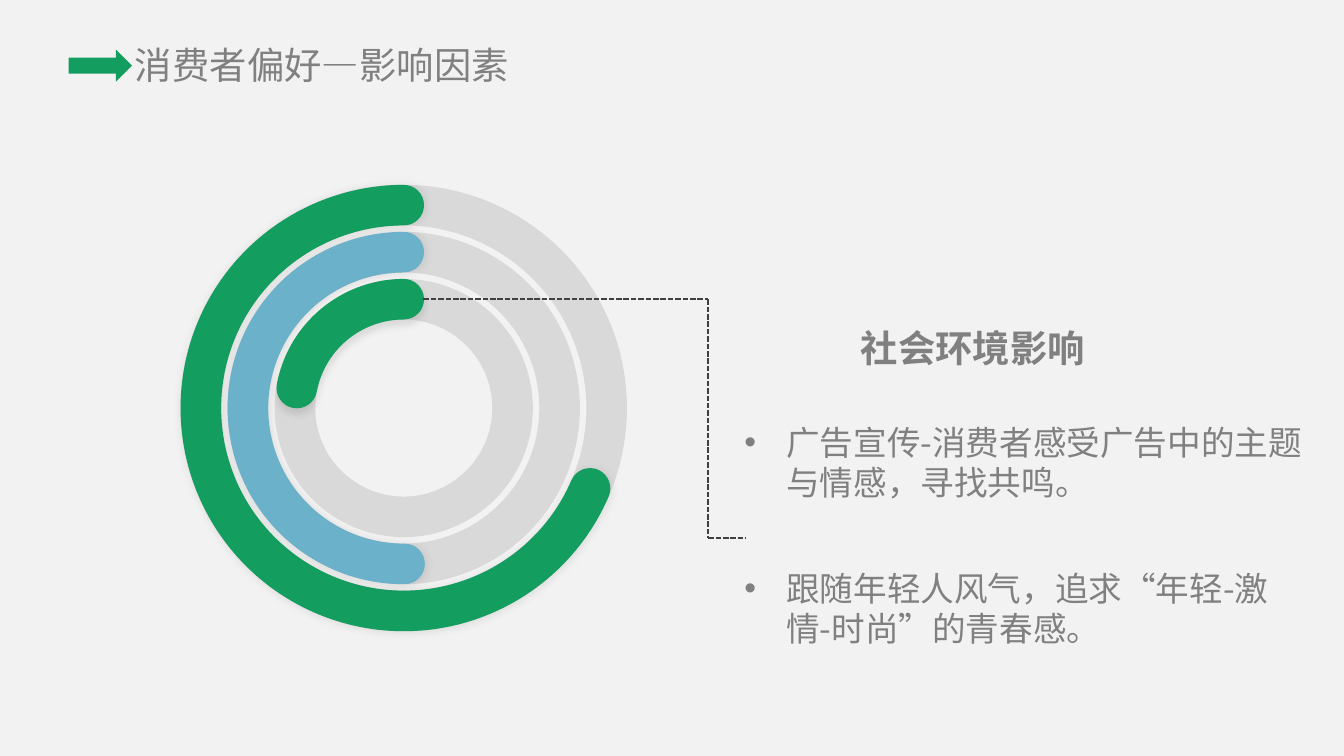
from dataclasses import dataclass

from lxml.etree import SubElement
from pptx import Presentation
from pptx.dml.color import RGBColor
from pptx.enum.dml import MSO_LINE_DASH_STYLE as Dash
from pptx.enum.shapes import MSO_CONNECTOR_TYPE as Connector, MSO_SHAPE as Shape
from pptx.enum.text import MSO_AUTO_SIZE as AutoSize
from pptx.oxml.ns import qn
from pptx.util import Pt


@dataclass(frozen=True)
class Theme:
    font: str = "Noto Sans CJK SC"
    background: str = "F2F2F2"
    green: str = "139D5F"
    blue: str = "6BB1C9"
    track: str = "D9D9D9"
    text: str = "808080"
    leader: str = "404040"
    heading_size: int = 20
    body_size: int = 18


THEME = Theme()
RING_CENTER = (216.3, 218.6)
RING_WIDTH = 21.75
OUTER, MIDDLE, INNER = (217.4 - 50.4 * step for step in range(3))


def rgb(color):
    return RGBColor.from_string(color)


def add_shadow(shape, blur, distance, degrees):
    effects = shape.element.spPr.find(qn("a:effectLst"))
    shadow = SubElement(effects, qn("a:outerShdw"), blurRad=str(Pt(blur)),
                        dist=str(Pt(distance)), dir=str(degrees * 60000),
                        algn="ctr", rotWithShape="0")
    color = SubElement(shadow, qn("a:srgbClr"), val="000000")
    SubElement(color, qn("a:alpha"), val="10000")


def add_ring(page, diameter, sweep, color, shadow=None):
    """Draw a round-capped arc running counterclockwise from the top."""
    left, top = (middle - diameter / 2 for middle in RING_CENTER)
    ring = page.shapes.add_shape(Shape.ARC, Pt(left), Pt(top),
                                 Pt(diameter), Pt(diameter))
    # Arc angles are 60000ths of a degree; python-pptx scales them by 100000.
    ring.adjustments[0] = 270 * 0.6
    ring.adjustments[1] = (270 + sweep) % 360 * 0.6
    ring.element.spPr.find(qn("a:xfrm")).set("flipH", "1")
    ring.fill.background()
    ring.line.color.rgb = rgb(color)
    ring.line.width = Pt(RING_WIDTH)
    ring.element.spPr.find(qn("a:ln")).set("cap", "rnd")
    ring.shadow.inherit = False
    if shadow:
        add_shadow(ring, *shadow)


def add_arrow(page, left, top, width, height):
    arrow = page.shapes.add_shape(Shape.RIGHT_ARROW, Pt(left), Pt(top),
                                  Pt(width), Pt(height))
    arrow.fill.solid()
    arrow.fill.fore_color.rgb = rgb(THEME.green)
    arrow.line.fill.background()
    arrow.shadow.inherit = False


def add_leader(page, start, end):
    """Draw one straight dashed segment."""
    leader = page.shapes.add_connector(Connector.STRAIGHT,
                                       *map(Pt, start + end))
    leader.line.color.rgb = rgb(THEME.leader)
    leader.line.width = Pt(1)
    leader.line.dash_style = Dash.SQUARE_DOT
    SubElement(leader.element.spPr, qn("a:effectLst"))


def add_bullet(para, indent):
    properties = para._p.get_or_add_pPr()
    properties.set("marL", str(Pt(indent)))
    properties.set("indent", str(-Pt(indent)))
    SubElement(properties, qn("a:buFont"), typeface="Arial")
    SubElement(properties, qn("a:buChar"), char="•")


def add_text(page, text, left, top, width, height, *,
             size=THEME.heading_size, bold=False, wrap=False, bullet=False):
    box = page.shapes.add_textbox(Pt(left), Pt(top), Pt(width), Pt(height))
    frame = box.text_frame
    frame.word_wrap = wrap
    frame.auto_size = AutoSize.SHAPE_TO_FIT_TEXT
    para = frame.paragraphs[0]
    if bullet:
        add_bullet(para, 22.5)
    span = para.add_run()
    span.text = text
    span.font.size = Pt(size)
    span.font.bold = bold
    span.font.color.rgb = rgb(THEME.text)
    span.font.name = THEME.font
    SubElement(span.font._element, qn("a:ea"), typeface=THEME.font)


def main():
    deck = Presentation()
    deck.slide_width, deck.slide_height = Pt(720), Pt(405)
    page = deck.slides.add_slide(deck.slide_layouts[6])
    page.background.fill.solid()
    page.background.fill.fore_color.rgb = rgb(THEME.background)

    add_arrow(page, 36.7, 26.6, 34, 17.2)

    glow = (5, 0, 0)
    add_ring(page, OUTER, 358.6, THEME.track)
    add_ring(page, MIDDLE, 359, THEME.track)
    add_ring(page, OUTER, 246.67, THEME.green, glow)
    add_ring(page, MIDDLE, 180.3, THEME.blue, glow)
    add_ring(page, INNER, 359.1, THEME.track)
    add_ring(page, INNER, 79.4, THEME.green, (4, 3, 90))

    corners = [(226.8, 160.3), (379.4, 160.3), (379.4, 288), (399.6, 288)]
    for start, end in zip(corners, corners[1:]):
        add_leader(page, start, end)

    add_text(page, "消费者偏好—影响因素", 65.2, 18.9, 218, 31.5)
    add_text(page, "社会环境影响", 454, 170.9, 135.4, 31.5, bold=True)
    factors = ["广告宣传-消费者感受广告中的主题与情感，寻找共鸣。",
               "跟随年轻人风气，追求“年轻-激情-时尚”的青春感。"]
    for row, factor in enumerate(factors):
        add_text(page, factor, 391.7, 222.3 + 78.2 * row, 314.6, 50.9,
                 size=THEME.body_size, wrap=True, bullet=True)

    deck.save("out.pptx")


if __name__ == "__main__":
    main()
